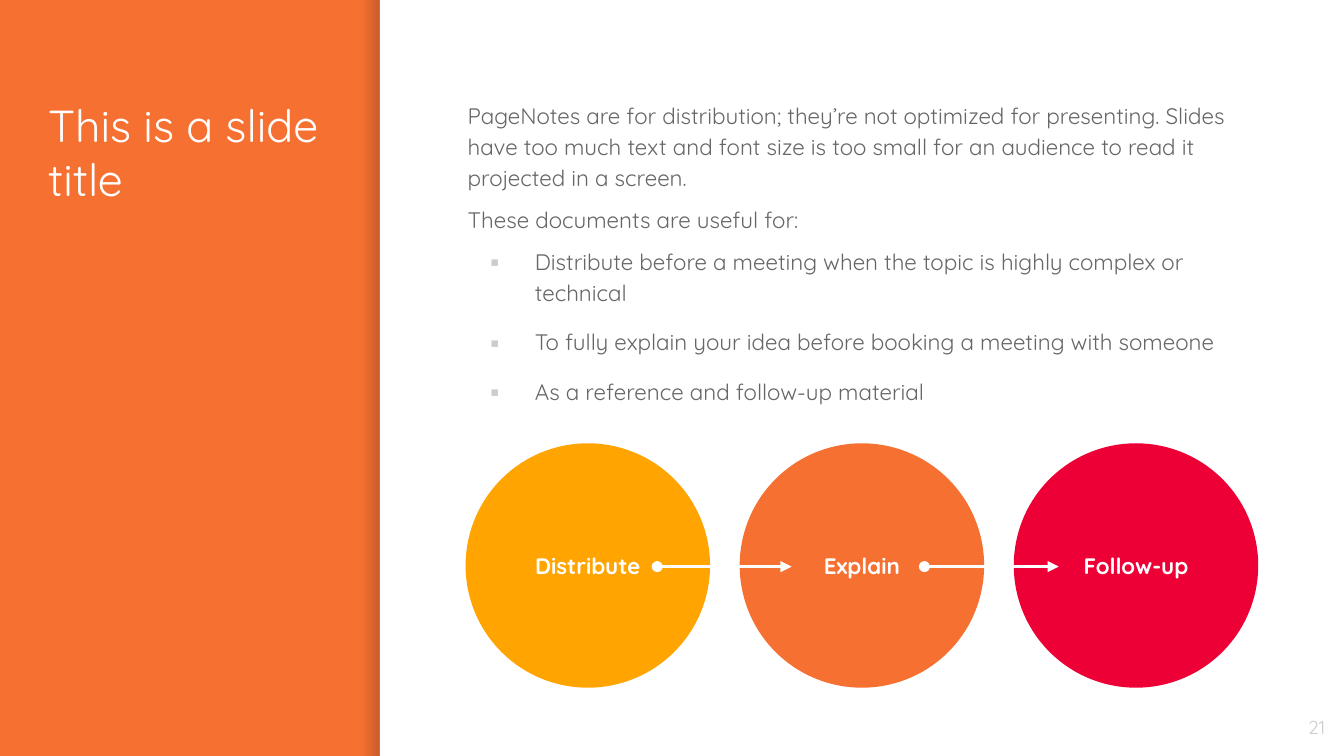
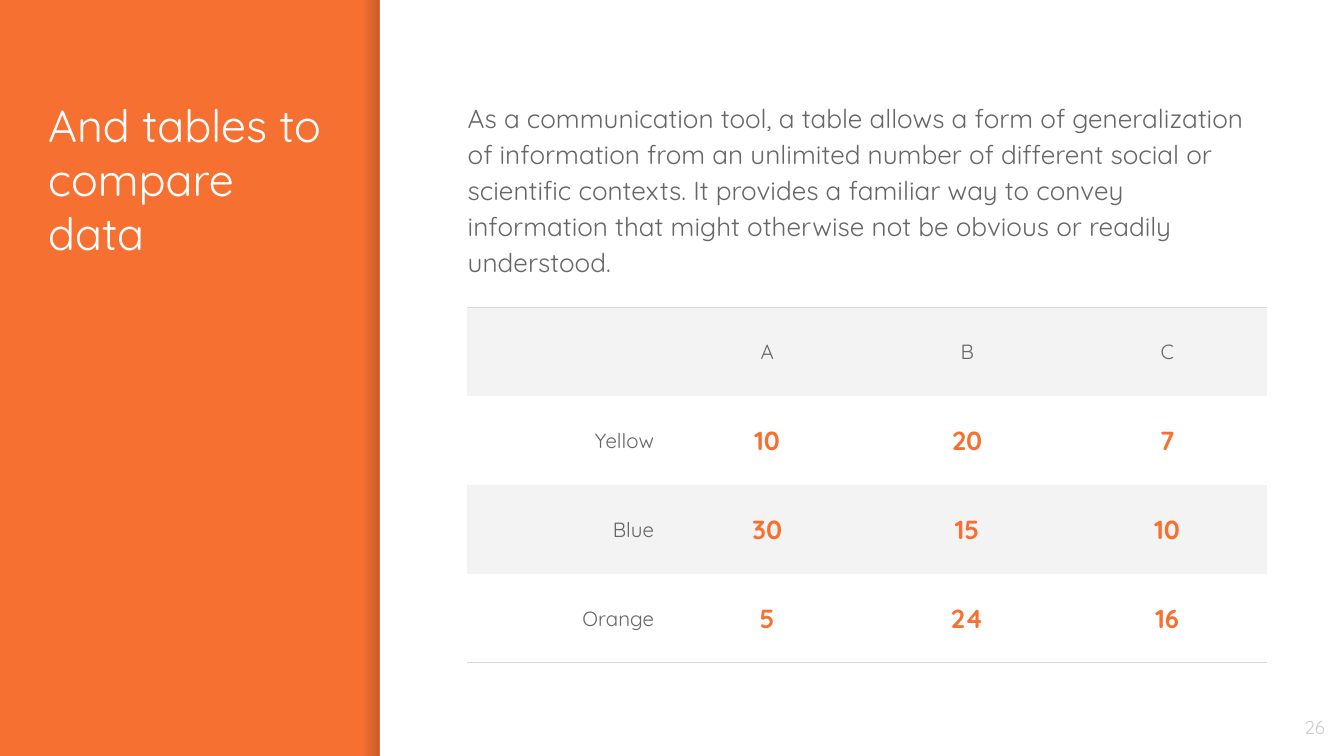
"""Builds two slides with an orange title band: a process and a data table."""
from lxml import etree
from pptx import Presentation
from pptx.dml.color import RGBColor
from pptx.enum.shapes import MSO_CONNECTOR, MSO_SHAPE
from pptx.enum.text import MSO_ANCHOR, PP_ALIGN
from pptx.oxml.ns import qn
from pptx.util import Cm, Pt

LEFT, CENTER, RIGHT = PP_ALIGN.LEFT, PP_ALIGN.CENTER, PP_ALIGN.RIGHT
TOP, MIDDLE = MSO_ANCHOR.TOP, MSO_ANCHOR.MIDDLE
RECTANGLE, OVAL, STRAIGHT = MSO_SHAPE.RECTANGLE, MSO_SHAPE.OVAL, MSO_CONNECTOR.STRAIGHT

FONT = "Quicksand"
ORANGE, YELLOW, RED, WHITE = "F67031", "FFA400", "ED0036", "FFFFFF"
GREY, PALE, RULE, STRIPE, SHADE = "666666", "CCCCCC", "D9D9D9", "F3F3F3", "000014"

SLIDE_W, SLIDE_H = 25.4, 14.29
BAND_W, SHADE_W = 7.18, 0.32
BODY_LEFT, BODY_TOP, BODY_W = 8.59, 1.6, 15.55
INSET = 0.25

PROCESS = {
    "title": "This is a slide title",
    "number": "21",
    "intro": [
        "PageNotes are for distribution; they’re not optimized for presenting. Slides have too "
        "much text and font size is too small for an audience to read it projected in a screen.",
        "These documents are useful for:",
    ],
    "uses": [
        "Distribute before a meeting when the topic is highly complex or technical",
        "To fully explain your idea before booking a meeting with someone",
        "As a reference and follow-up material",
    ],
    "steps": [("Distribute", YELLOW), ("Explain", ORANGE), ("Follow-up", RED)],
}
COMPARISON = {
    "title": "And tables to compare data",
    "number": "26",
    "intro": "As a communication tool, a table allows a form of generalization of information "
             "from an unlimited number of different social or scientific contexts. It provides "
             "a familiar way to convey information that might otherwise not be obvious or "
             "readily understood.",
    "rows": [
        ("", "A", "B", "C"),
        ("Yellow", "10", "20", "7"),
        ("Blue", "30", "15", "10"),
        ("Orange", "5", "24", "16"),
    ],
}


def rgb(color):
    return RGBColor.from_string(color)


def child(parent, tag, **attributes):
    return etree.SubElement(parent, qn(tag), attributes)


def write(frame, text, size=12, color=GREY, bold=False, align=LEFT,
          before=0, after=0, spacing=1.0, bullet=None):
    """Fill the empty first paragraph of a frame, or append a new one."""
    first = frame.paragraphs[0]
    paragraph = frame.add_paragraph() if first.runs else first
    paragraph.alignment, paragraph.line_spacing = align, spacing
    paragraph.space_before, paragraph.space_after = Pt(before), Pt(after)
    run = paragraph.add_run()
    run.text = text
    run.font.name, run.font.size, run.font.bold = FONT, Pt(size), bold
    run.font.color.rgb = rgb(color)
    if bullet:
        properties = paragraph._p.get_or_add_pPr()
        properties.set("marL", str(Cm(1.27)))
        properties.set("indent", str(-Cm(0.84)))
        child(child(properties, "a:buClr"), "a:srgbClr", val=PALE)
        child(properties, "a:buFont", typeface=FONT)
        child(properties, "a:buChar", char=bullet)


def prepare(frame, anchor):
    frame.word_wrap, frame.vertical_anchor = True, anchor
    frame.margin_left = frame.margin_right = Cm(INSET)
    frame.margin_top = frame.margin_bottom = Cm(INSET)
    return frame


def add_text_area(slide, left, top, width, height, anchor=TOP):
    box = slide.shapes.add_textbox(Cm(left), Cm(top), Cm(width), Cm(height))
    return prepare(box.text_frame, anchor)


def add_filled(slide, preset, left, top, width, height, color):
    shape = slide.shapes.add_shape(preset, Cm(left), Cm(top), Cm(width), Cm(height))
    shape.shadow.inherit = False
    shape.line.fill.background()
    shape.fill.solid()
    shape.fill.fore_color.rgb = rgb(color)
    return shape


def add_base(deck, content):
    """Add a slide with the title band, its inner shade, the panel and the number."""
    slide = deck.slides.add_slide(deck.slide_layouts[6])
    slide.background.fill.solid()
    slide.background.fill.fore_color.rgb = rgb(ORANGE)

    shade = add_filled(slide, RECTANGLE, BAND_W - SHADE_W, 0, SHADE_W, SLIDE_H, SHADE)
    shade.fill.gradient()
    shade.fill.gradient_angle = 0
    for stop, alpha in zip(shade.fill.gradient_stops, ("0", "20000")):
        stop.color.rgb = rgb(SHADE)
    for color, alpha in zip(shade._element.spPr.iter(qn("a:srgbClr")), ("0", "20000")):
        child(color, "a:alpha", val=alpha)

    add_filled(slide, RECTANGLE, BAND_W, 0, SLIDE_W - BAND_W, SLIDE_H, WHITE)
    title = add_text_area(slide, 0.66, BODY_TOP, 5.69, 11.05)
    write(title, content["title"], size=24, color=WHITE)
    number = add_text_area(slide, 23.77, 13.19, 1.52, 1.09, MIDDLE)
    write(number, content["number"], size=10, color=PALE, align=RIGHT)
    return slide


def add_arrow(slide, left, top, length):
    arrow = slide.shapes.add_connector(STRAIGHT, Cm(left), Cm(top), Cm(left + length), Cm(top))
    arrow.line.color.rgb = rgb(WHITE)
    arrow.line.width = Pt(1.5)
    line = arrow.line._get_or_add_ln()
    child(line, "a:headEnd", type="oval")
    child(line, "a:tailEnd", type="triangle")
    child(arrow._element.spPr, "a:effectLst")


def add_process(deck, content):
    slide = add_base(deck, content)
    body = add_text_area(slide, BODY_LEFT, BODY_TOP, BODY_W, 7.67)
    for text in content["intro"]:
        write(body, text, before=6, spacing=1.15)
    last = len(content["uses"]) - 1
    for i, text in enumerate(content["uses"]):
        write(body, text, before=10 if i else 6, after=10 if i == last else 0,
              spacing=1.15, bullet="▪")

    diameter, step_pitch, arrow_pitch = 4.62, 5.18, 5.05
    for i, (label, color) in enumerate(content["steps"]):
        circle = add_filled(slide, OVAL, 8.8 + i * step_pitch, 8.38, diameter, diameter, color)
        write(prepare(circle.text_frame, MIDDLE), label, color=WHITE, bold=True, align=CENTER)
    for i in range(len(content["steps"]) - 1):
        add_arrow(slide, 12.42 + i * arrow_pitch, 10.71, 2.54)


def set_borders(cell, ruled):
    """Rule the given sides of a cell and clear the others."""
    properties = cell._tc.get_or_add_tcPr()
    for i, side in enumerate("LRTB"):
        border = etree.Element(qn(f"a:ln{side}"), w=str(Pt(0.75)))
        if side in ruled:
            child(child(border, "a:solidFill"), "a:srgbClr", val=RULE)
        else:
            child(border, "a:noFill")
        properties.insert(i, border)


def add_comparison(deck, content):
    slide = add_base(deck, content)
    rows = content["rows"]
    row_count, column_count = len(rows), len(rows[0])
    column_w, row_h = 3.78, 1.68
    table = slide.shapes.add_table(row_count, column_count, Cm(8.83), Cm(5.81),
                                   Cm(column_w * column_count), Cm(row_h * row_count)).table
    table.first_row = table.horz_banding = False
    for r, row in enumerate(rows):
        for c, text in enumerate(row):
            cell = table.cell(r, c)
            cell.vertical_anchor = MIDDLE
            cell.margin_left = cell.margin_right = Cm(INSET)
            cell.margin_top = cell.margin_bottom = Cm(0.18)
            if r % 2:
                cell.fill.background()
            else:
                cell.fill.solid()
                cell.fill.fore_color.rgb = rgb(STRIPE)
            set_borders(cell, {0: "T", row_count - 1: "B"}.get(r, ""))
            if r and c:
                write(cell.text_frame, text, size=14, color=ORANGE, bold=True, align=CENTER)
            elif text:
                write(cell.text_frame, text, size=11, align=RIGHT if r else CENTER)

    body = add_text_area(slide, BODY_LEFT, BODY_TOP, BODY_W, 2.95)
    write(body, content["intro"], size=14, before=6, spacing=1.15)


def main():
    deck = Presentation()
    deck.slide_width, deck.slide_height = Cm(SLIDE_W), Cm(SLIDE_H)
    add_process(deck, PROCESS)
    add_comparison(deck, COMPARISON)
    deck.save("out.pptx")


if __name__ == "__main__":
    main()
